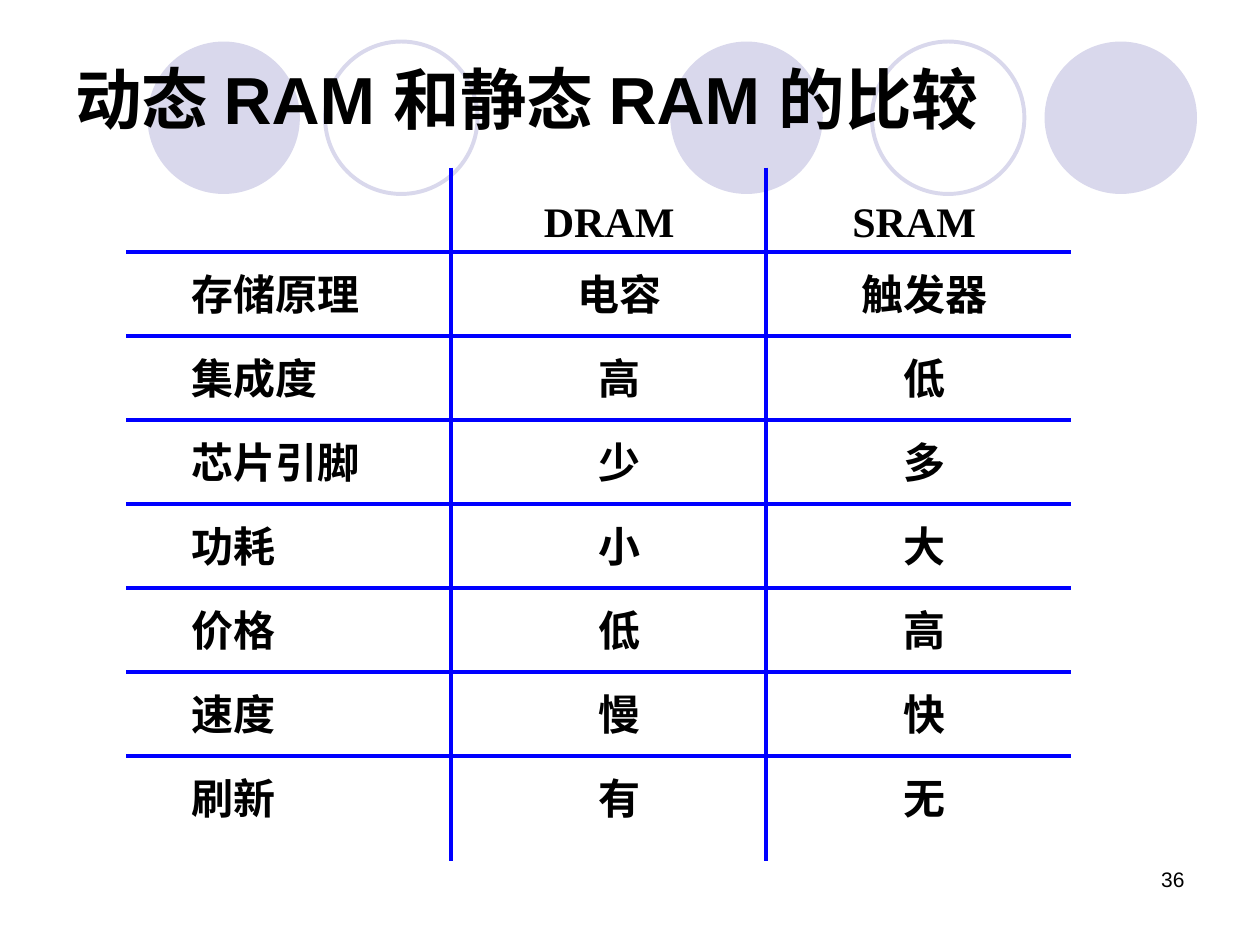
"""Build a slide comparing dynamic and static RAM."""
import pptx
import pptx.dml.color
import pptx.enum.shapes
import pptx.enum.text
import pptx.oxml.ns
import pptx.util
from lxml import etree

Inches = pptx.util.Inches
Pt = pptx.util.Pt
ALIGN = pptx.enum.text.PP_ALIGN

BLACK = pptx.dml.color.RGBColor(0x00, 0x00, 0x00)
BLUE = pptx.dml.color.RGBColor(0x00, 0x00, 0xFF)
LILAC = pptx.dml.color.RGBColor(0xD9, 0xD8, 0xEC)

TITLE = "动态 RAM 和静态 RAM 的比较"
PAGE_NUMBER = "36"
HEADINGS = ("DRAM", "SRAM")
ROWS = [
    ("存储原理", "电容", "触发器"),
    ("集成度", "高", "低"),
    ("芯片引脚", "少", "多"),
    ("功耗", "小", "大"),
    ("价格", "低", "高"),
    ("速度", "慢", "快"),
    ("刷新", "有", "无"),
]
CIRCLES = [(5.32, True), (8.29, True), (1.17, True), (6.92, False), (2.58, False)]
CIRCLE_TOP, CIRCLE_SIZE = 0.33, 1.21

GRID_LEFT, GRID_RIGHT = 1, 8.5
GRID_TOP, GRID_BOTTOM = 1.33, 6.83
DIVIDERS = (3.58, 6.08)
FIRST_RULE, ROW_PITCH = 2, 2 / 3
CELL_WIDTH, CELL_HEIGHT, CELL_GAP = 2.67, 0.5, 0.08
HEADING_TOP, HEADING_LEFTS = 1.5, (3.5, 5.92)
CELL_LEFTS = (1.42, 3.58, 6)
CELL_ALIGNS = (ALIGN.LEFT, ALIGN.CENTER, ALIGN.CENTER)


def add_text(page, text, left, top, width, height, size, font, bold=True, align=ALIGN.LEFT):
    box = page.shapes.add_textbox(Inches(left), Inches(top), Inches(width), Inches(height))
    frame = box.text_frame
    frame.word_wrap = True
    frame.text = text
    para = frame.paragraphs[0]
    para.alignment = align
    span = para.runs[0]
    span.font.size = Pt(size)
    span.font.name = font
    span.font.bold = bold
    span.font.color.rgb = BLACK
    return frame


def add_cell(page, text, left, top, align):
    frame = add_text(page, text, left, top, CELL_WIDTH, CELL_HEIGHT, 24,
                     "Times New Roman", align=align)
    frame.auto_size = pptx.enum.text.MSO_AUTO_SIZE.SHAPE_TO_FIT_TEXT


def add_circle(page, left, filled):
    circle = page.shapes.add_shape(
        pptx.enum.shapes.MSO_SHAPE.OVAL, Inches(left), Inches(CIRCLE_TOP),
        Inches(CIRCLE_SIZE), Inches(CIRCLE_SIZE))
    circle.shadow.inherit = False
    if filled:
        circle.fill.solid()
        circle.fill.fore_color.rgb = LILAC
        circle.line.fill.background()
    else:
        circle.fill.background()
        circle.line.color.rgb = LILAC
        circle.line.width = Pt(2.25)


def add_rule(page, x1, y1, x2, y2):
    rule = page.shapes.add_connector(
        pptx.enum.shapes.MSO_CONNECTOR.STRAIGHT,
        Inches(x1), Inches(y1), Inches(x2), Inches(y2))
    rule.line.color.rgb = BLUE
    rule.line.width = Pt(2.25)
    properties = rule._element.find(pptx.oxml.ns.qn("p:spPr"))
    etree.SubElement(properties, pptx.oxml.ns.qn("a:effectLst"))


def main():
    deck = pptx.Presentation()
    deck.slide_width, deck.slide_height = Inches(10), Inches(7.5)
    page = deck.slides.add_slide(deck.slide_layouts[6])

    for left, filled in CIRCLES:
        add_circle(page, left, filled)
    add_text(page, PAGE_NUMBER, 7.17, 6.83, 2.33, 0.5, 12, "Arial",
             bold=False, align=ALIGN.RIGHT)

    for heading, left in zip(HEADINGS, HEADING_LEFTS):
        add_cell(page, heading, left, HEADING_TOP, ALIGN.CENTER)
    for index, row in enumerate(ROWS):
        top = FIRST_RULE + index * ROW_PITCH + CELL_GAP
        for text, left, align in zip(row, CELL_LEFTS, CELL_ALIGNS):
            add_cell(page, text, left, top, align)

    title = add_text(page, TITLE, 0.5, 0.3, 9.25, 0.95, 38, "Arial")
    title.vertical_anchor = pptx.enum.text.MSO_ANCHOR.MIDDLE

    for index in range(len(ROWS)):
        y = FIRST_RULE + index * ROW_PITCH
        add_rule(page, GRID_LEFT, y, GRID_RIGHT, y)
    for x in DIVIDERS:
        add_rule(page, x, GRID_TOP, x, GRID_BOTTOM)

    deck.save("out.pptx")


if __name__ == "__main__":
    main()
